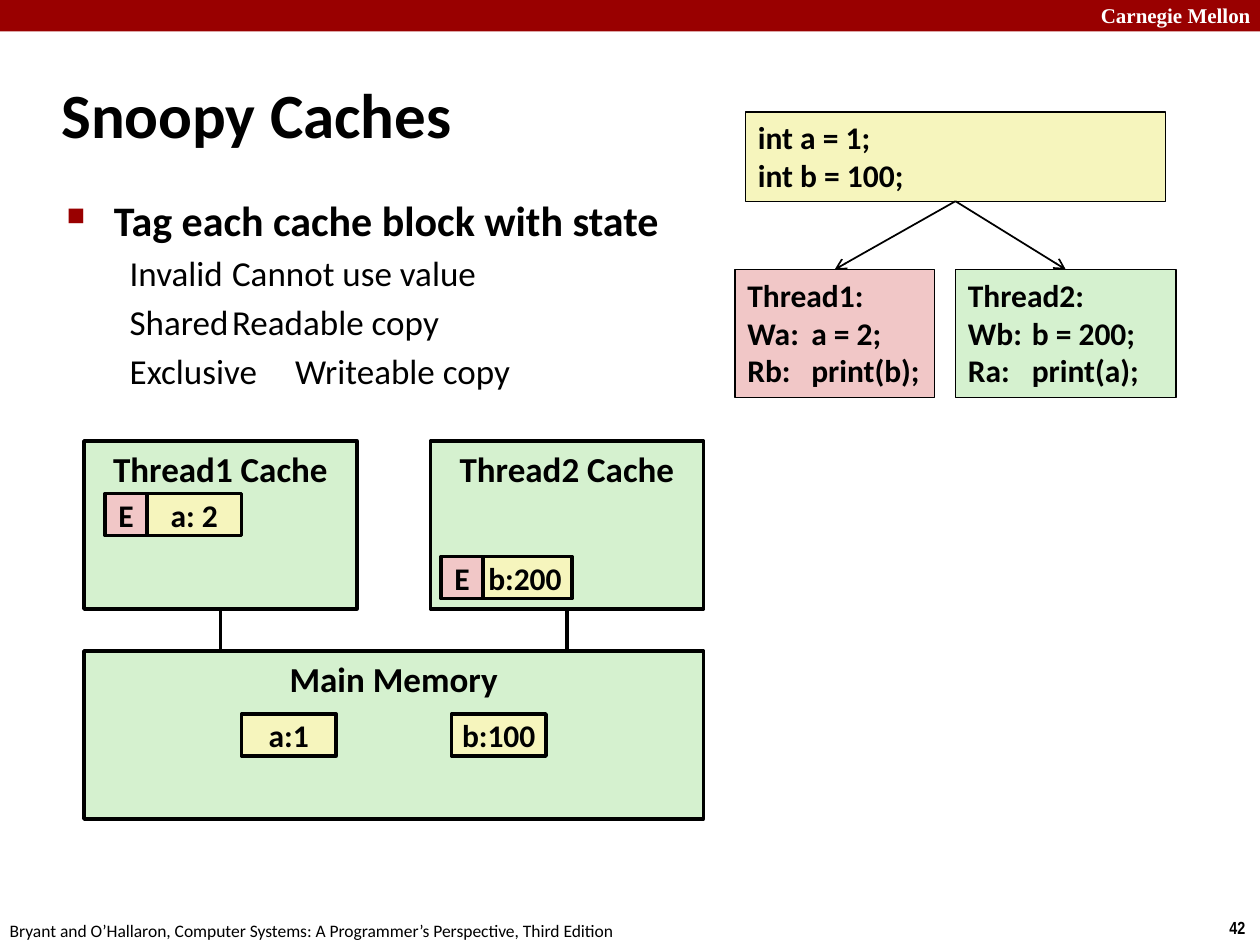
from lxml import etree
from pptx import Presentation
from pptx.dml.color import RGBColor
from pptx.enum.shapes import MSO_CONNECTOR, MSO_SHAPE
from pptx.enum.text import MSO_ANCHOR, PP_ALIGN
from pptx.oxml.ns import qn
from pptx.util import Pt

RECT = MSO_SHAPE.RECTANGLE
STRAIGHT = MSO_CONNECTOR.STRAIGHT
TOP, MIDDLE = MSO_ANCHOR.TOP, MSO_ANCHOR.MIDDLE
LEFT, CENTER = PP_ALIGN.LEFT, PP_ALIGN.CENTER
COLORS = {"red": "990000", "black": "000000", "white": "FFFFFF",
          "green": "D5F1CF", "yellow": "F6F5BD", "pink": "F1C7C7"}

prs = Presentation()
prs.slide_width, prs.slide_height = Pt(720), Pt(540)
s = prs.slides.add_slide(prs.slide_layouts[6])


def add_box(x, y, w, h, lines=(), size=18, fill=None, line=None, align=LEFT,
            anchor=TOP, wrap=True, bold=True, font="Calibri", color="black"):
    if fill:
        sp = s.shapes.add_shape(RECT, Pt(x), Pt(y), Pt(w), Pt(h))
        sp.shadow.inherit = False
        sp.fill.solid()
        sp.fill.fore_color.rgb = RGBColor.from_string(COLORS[fill])
        if line:
            sp.line.color.rgb = RGBColor.from_string(COLORS["black"])
            sp.line.width = Pt(line)
        else:
            sp.line.fill.background()
    else:
        sp = s.shapes.add_textbox(Pt(x), Pt(y), Pt(w), Pt(h))
    tf = sp.text_frame
    tf.word_wrap = wrap
    tf.vertical_anchor = anchor
    for i, text in enumerate(lines):
        p = tf.add_paragraph() if i else tf.paragraphs[0]
        p.alignment = align
        r = p.add_run()
        r.text = text
        r.font.name = font
        r.font.size = Pt(size)
        r.font.bold = bold
        r.font.color.rgb = RGBColor.from_string(COLORS[color])
    return sp


def add_line(x1, y1, x2, y2, width):
    cxn = s.shapes.add_connector(STRAIGHT, Pt(x1), Pt(y1), Pt(x2), Pt(y2))
    cxn.line.color.rgb = RGBColor.from_string(COLORS["black"])
    cxn.line.width = Pt(width)
    etree.SubElement(cxn._element.spPr, qn("a:effectLst"))
    return cxn


add_box(0, 0, 720, 18, fill="red")
add_box(622, -2, 103, 22, ["Carnegie Mellon"], 12, font="Times New Roman", color="white")
add_box(695.5, 520.5, 24.5, 19.5, ["42"], 10, wrap=False, font="Arial Narrow")
add_box(-1.5, 522, 366, 19.5,
        ["Bryant and O’Hallaron, Computer Systems: A Programmer’s Perspective, Third Edition"],
        10, wrap=False, bold=False)
add_box(28, 34.5, 598, 60, ["Snoopy Caches"], 36, anchor=MIDDLE)

body = add_box(31, 107.5, 622, 122,
               ["Tag each cache block with state", "Invalid\tCannot use value",
                "Shared\tReadable copy", "Exclusive\tWriteable copy"], 20)
heading, *states = body.text_frame.paragraphs
heading.runs[0].font.size = Pt(24)
pPr = heading._p.get_or_add_pPr()
pPr.set("marL", str(Pt(27)))
pPr.set("indent", str(Pt(-27)))
bu = etree.SubElement(pPr, qn("a:buClr"))
etree.SubElement(bu, qn("a:srgbClr"), val=COLORS["red"])
etree.SubElement(pPr, qn("a:buSzPct"), val="60000")
etree.SubElement(pPr, qn("a:buChar"), char="■")
for p in states:
    p.level = 1
    p.space_before = Pt(4)
    p.runs[0].font.bold = False
    pPr = p._p.get_or_add_pPr()
    pPr.set("marL", str(Pt(58.5)))
    pPr.set("indent", str(Pt(-22.5)))

add_box(48, 372, 354, 96, ["Main Memory"], 20, "green", 2, CENTER)
for x, name in ((48, "Thread1 Cache"), (246, "Thread2 Cache")):
    cache = add_box(x, 252, 156, 96, [name], 20, "green", 2, CENTER)
    bus = add_line(x + 78, 372, x + 78, 348, 2)
    bus.end_connect(cache, 2)

for x, y, w, text, fill in ((138, 408, 54, "a:1", "yellow"),
                            (258, 408, 54, "b:100", "yellow"),
                            (84, 282, 54, "a: 2", "yellow"),
                            (60, 282, 24, "E", "pink"),
                            (273, 318, 54, "b:200", "yellow"),
                            (252, 318, 24, "E", "pink")):
    add_box(x, y, w, 24, [text], 18, fill, 2, CENTER, MIDDLE, wrap=False)

shared = add_box(426, 64, 240, 51, ["int a = 1;", "int b = 100;"], 18, "yellow", 0.75)
for x, w, fill, lines in (
        (420, 114, "pink", ["Thread1:", "Wa:\ta = 2;", "Rb:\tprint(b);"]),
        (546, 126, "green", ["Thread2:", "Wb:\tb = 200;", "Ra:\tprint(a);"])):
    thread = add_box(x, 154, w, 73, lines, 18, fill, 0.75)
    for p in thread.text_frame.paragraphs:
        tabs = etree.SubElement(p._p.get_or_add_pPr(), qn("a:tabLst"))
        etree.SubElement(tabs, qn("a:tab"), pos=str(Pt(36.5)), algn="l")
    arrow = add_line(546, 115, x + w / 2, 154, 1)
    arrow.begin_connect(shared, 2)
    arrow.end_connect(thread, 0)
    etree.SubElement(arrow.line._get_or_add_ln(), qn("a:tailEnd"), type="arrow")

prs.save("out.pptx")
